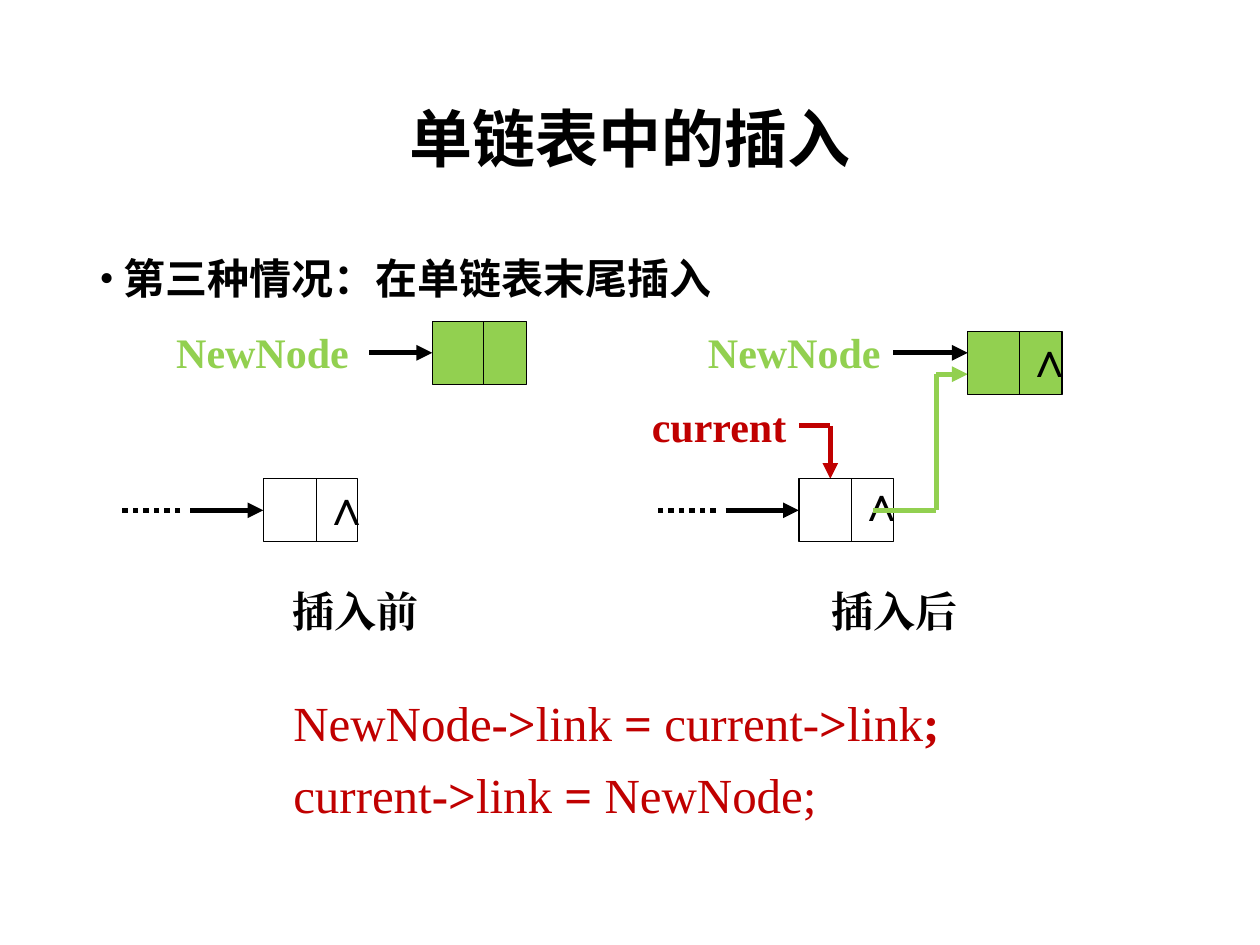
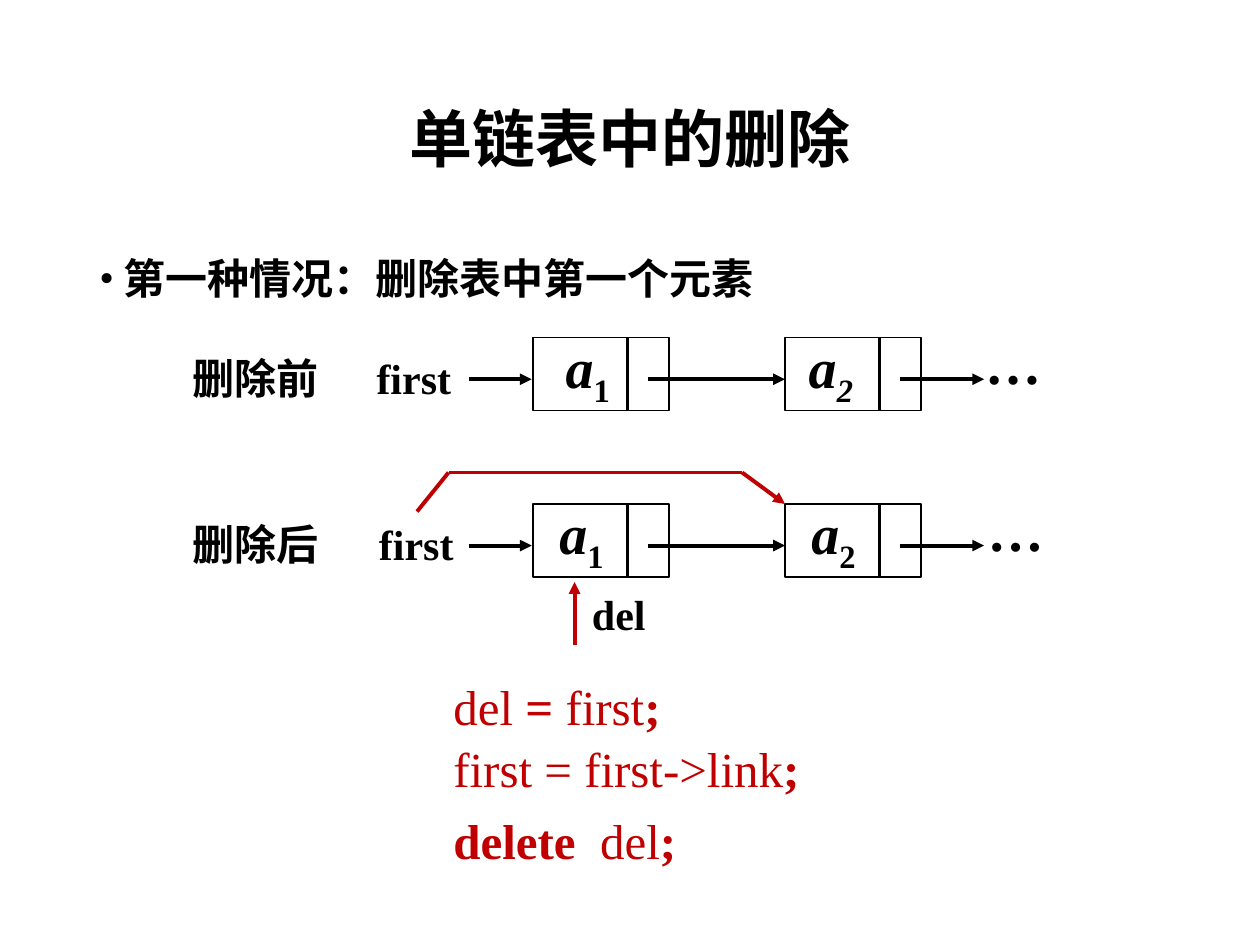
from typing import Any, NamedTuple

from lxml.etree import SubElement
from pptx import Presentation
from pptx.dml.color import RGBColor
from pptx.enum.dml import MSO_LINE
from pptx.enum.shapes import MSO_CONNECTOR, MSO_SHAPE
from pptx.enum.text import MSO_ANCHOR, MSO_AUTO_SIZE, PP_ALIGN
from pptx.oxml.ns import qn
from pptx.util import Inches, Pt

COLORS = {"ink": "000000", "paper": "FFFFFF", "new": "92D050", "code": "C00000"}
SANS, SERIF = "Noto Sans CJK SC", "Times New Roman"
COLUMNS, ROWS = 100, 75
WIDTH, HEIGHT = Inches(10), Inches(7.5)


class Box(NamedTuple):
    """A region of a slide; lengths are columns and rows of the grid."""
    shapes: Any
    left: float = 0
    top: float = 0

    def at(self, x, y):
        return span(self.left + x, self.top + y)


def span(columns, rows):
    return round(columns * WIDTH / COLUMNS), round(rows * HEIGHT / ROWS)


def rgb(name):
    return RGBColor.from_string(COLORS[name])


def add_run(p, text, size, font, color, bold, italic=False, baseline=0, spacing=0):
    r = p.add_run()
    r.text = text
    f = r.font
    f.size, f.name, f.bold, f.italic = Pt(size), font, bold, italic
    f.color.rgb = rgb(color)
    rPr = r._r.get_or_add_rPr()
    SubElement(rPr, qn("a:ea")).set("typeface", font)
    if baseline:
        rPr.set("baseline", str(baseline * 1000))
    if spacing:
        rPr.set("spc", str(spacing * 100))


def add_text(box, content, x, y, w, h, *, size=24, font=SERIF, color="ink",
             bold=True, align=PP_ALIGN.LEFT, anchor=MSO_ANCHOR.TOP, wrap=False,
             fit=True, line_spacing=None, bullet=None):
    """Write a string, or a list of (text, run format) pairs."""
    s = box.shapes.add_textbox(*box.at(x, y), *span(w, h))
    tf = s.text_frame
    tf.word_wrap, tf.vertical_anchor = wrap, anchor
    tf.auto_size = MSO_AUTO_SIZE.SHAPE_TO_FIT_TEXT if fit else MSO_AUTO_SIZE.NONE
    p = tf.paragraphs[0]
    p.alignment, p.line_spacing = align, line_spacing
    if bullet:
        pPr = p._p.get_or_add_pPr()
        indent = Inches(0.19)
        pPr.set("marL", str(indent))
        pPr.set("indent", str(-indent))
        SubElement(pPr, qn("a:buFont")).set("typeface", SERIF)
        SubElement(pPr, qn("a:buChar")).set("char", bullet)
    base = dict(size=size, font=font, color=color, bold=bold)
    for text, changes in [(content, {})] if isinstance(content, str) else content:
        add_run(p, text, **{**base, **changes})


def add_route(box, *points, color="ink", width=3, arrow=True, dash=None):
    """Join the points with straight lines; the last may carry an arrowhead."""
    for i, (start, end) in enumerate(zip(points, points[1:]), 2):
        s = box.shapes.add_connector(MSO_CONNECTOR.STRAIGHT, *box.at(*start), *box.at(*end))
        s.line.color.rgb, s.line.width = rgb(color), Pt(width)
        if dash:
            s.line.dash_style = dash
        if arrow and i == len(points):
            SubElement(s.line._get_or_add_ln(), qn("a:tailEnd")).set("type", "triangle")
        SubElement(s._element.spPr, qn("a:effectLst"))


def add_node(box, x, y, w, h, split, *, fill="paper", split_width=0.75):
    """A list node: a data cell and, right of the split, a link cell."""
    s = box.shapes.add_shape(MSO_SHAPE.RECTANGLE, *box.at(x, y), *span(w, h))
    s.shadow.inherit = False
    s.fill.solid()
    s.fill.fore_color.rgb = rgb(fill)
    s.line.color.rgb, s.line.width = rgb("ink"), Pt(0.75)
    add_route(box, (x + split, y), (x + split, y + h), width=split_width, arrow=False)


def add_null(box, x, y):
    add_text(box, "∧", x, y, 4.4, 5.7, size=28)


def code(line):
    """Turn a line into runs, with the parts between asterisks bold."""
    return [(part, dict(bold=i % 2 == 1))
            for i, part in enumerate(line.split("*")) if part]


def add_code(box, runs, y, width, wrap=True):
    add_text(box, runs, 0, y, width, 5.7, size=28, color="code", wrap=wrap)


def new_slide(prs, title, case):
    s = prs.slides.add_slide(prs.slide_layouts[6])
    box = Box(s.shapes, 6.9, 4)
    shared = dict(font=SANS, wrap=True, fit=False, line_spacing=0.9)
    add_text(box, title, 0, 0, 86.2, 14.5, size=36, align=PP_ALIGN.CENTER,
             anchor=MSO_ANCHOR.MIDDLE, **shared)
    add_text(box, case, 0, 16, 86.2, 47.6, bullet="•", **shared)
    return s.shapes


def list_end(box, caption, caption_x, new_y, label_x, arrow_x, null_y):
    """The end of the list, with the new node above it."""
    add_node(box, 11.6, 13, 7.5, 5, 4.2)
    add_node(box, 25, new_y, 7.5, 5, 4.1, fill="new")
    add_text(box, "NewNode", label_x, 0.4, 15.9, 5, color="new")
    add_route(box, (arrow_x, 3), (25, 3))
    add_route(box, (5, 15.5), (0, 15.5), arrow=False, dash=MSO_LINE.ROUND_DOT)
    add_route(box, (5.8, 15.5), (11.6, 15.5))
    add_text(box, caption, caption_x, 21, 12.1, 5)
    add_null(box, 15.3, null_y)


def insertion_links(box):
    """What the insertion adds to the end of the list."""
    add_route(box, (17.5, 15.5), (22.5, 15.5), (22.5, 4.7), (25, 4.7), color="new")
    add_route(box, (11.6, 8.8), (14.1, 8.8), (14.1, 13), color="code")
    add_text(box, "current", -1.2, 6.3, 12.8, 5, color="code", align=PP_ALIGN.RIGHT)
    add_null(box, 28.6, 0.6)


def insertion_slide(prs):
    shapes = new_slide(prs, "单链表中的插入", "第三种情况：在单链表末尾插入")
    before, after = (Box(shapes, x, 25) for x in (9.3, 51.8))
    list_end(before, "插入前", 12.9, new_y=0.5, label_x=3.7, arrow_x=20, null_y=12.3)
    insertion_links(after)
    list_end(after, "插入后", 13.2, new_y=1.3, label_x=3.4, arrow_x=19.1, null_y=12)
    # The link of the last node starts inside its cell
    add_route(after, (17.5, 15.5), (22.5, 15.5), color="new", arrow=False)
    add_null(after, 28.6, 0.6)
    listing = Box(shapes, 22.3, 54.5)
    add_code(listing, code("NewNode*->*link *= *current-*>*link*;*"), 0, 54.3)
    add_code(listing, code("current*->*link *= *NewNode;"), 5.7, 44, wrap=False)


def chain(box, caption, first_x, labels):
    """A row with the list from first on; labels give x, index and its slant."""
    add_text(box, caption, 0, 0.7, 12.1, 5, font=SANS)
    add_text(box, "first", first_x, 0.65, 8, 5)
    for i, (x, index, slant) in enumerate(labels):
        left = 28 + 20 * i
        add_node(box, left, 0, 10.8, 5.8, 7.5, split_width=1.5)
        add_text(box, [("a", dict(italic=True)), (index, dict(italic=slant, baseline=-25))],
                 x, -0.9, 5.8, 6.4, size=32)
    for start, end in ((22.9, 27.9), (37.1, 48), (57.1, 63.8)):
        add_route(box, (start, 3.3), (end, 3.3), width=2.25)
    add_text(box, "…", first_x + 48.3, -1.2, 6.5, 6.4, size=32)


def deletion_links(box):
    """The bypass from first to the second node, and the del pointer."""
    style = dict(color="code", width=2.25)
    add_route(box, (18.8, 0.6), (21.3, -2.5), (44.6, -2.5), (48, 0), **style)
    add_route(box, (31.3, 11.2), (31.3, 6.2), **style)
    add_text(box, "del", 31.7, 6.2, 6.3, 5)


def deletion_slide(prs):
    shapes = new_slide(prs, "单链表中的删除", "第一种情况：删除表中第一个元素")
    before, after = (Box(shapes, 14.3, y) for y in (26.8, 40))
    chain(before, "删除前", 14.6, [(29.6, "1", False), (48.9, "2", True)])
    chain(after, "删除后", 14.8, [(29.1, "1", False), (49.1, "2", False)])
    deletion_links(after)
    listing = Box(shapes, 35, 53.2)
    delete = code("*delete*") + [(" ", dict(bold=False, spacing=7))] + code("del*;*")
    lines = (0, code("del *= *first*;*")), (4.9, code("first = first->link*;*")), (10.6, delete)
    for y, runs in lines:
        add_code(listing, runs, y, 31.5)


def main():
    prs = Presentation()
    prs.slide_width, prs.slide_height = WIDTH, HEIGHT
    insertion_slide(prs)
    deletion_slide(prs)
    prs.save("out.pptx")


if __name__ == "__main__":
    main()
